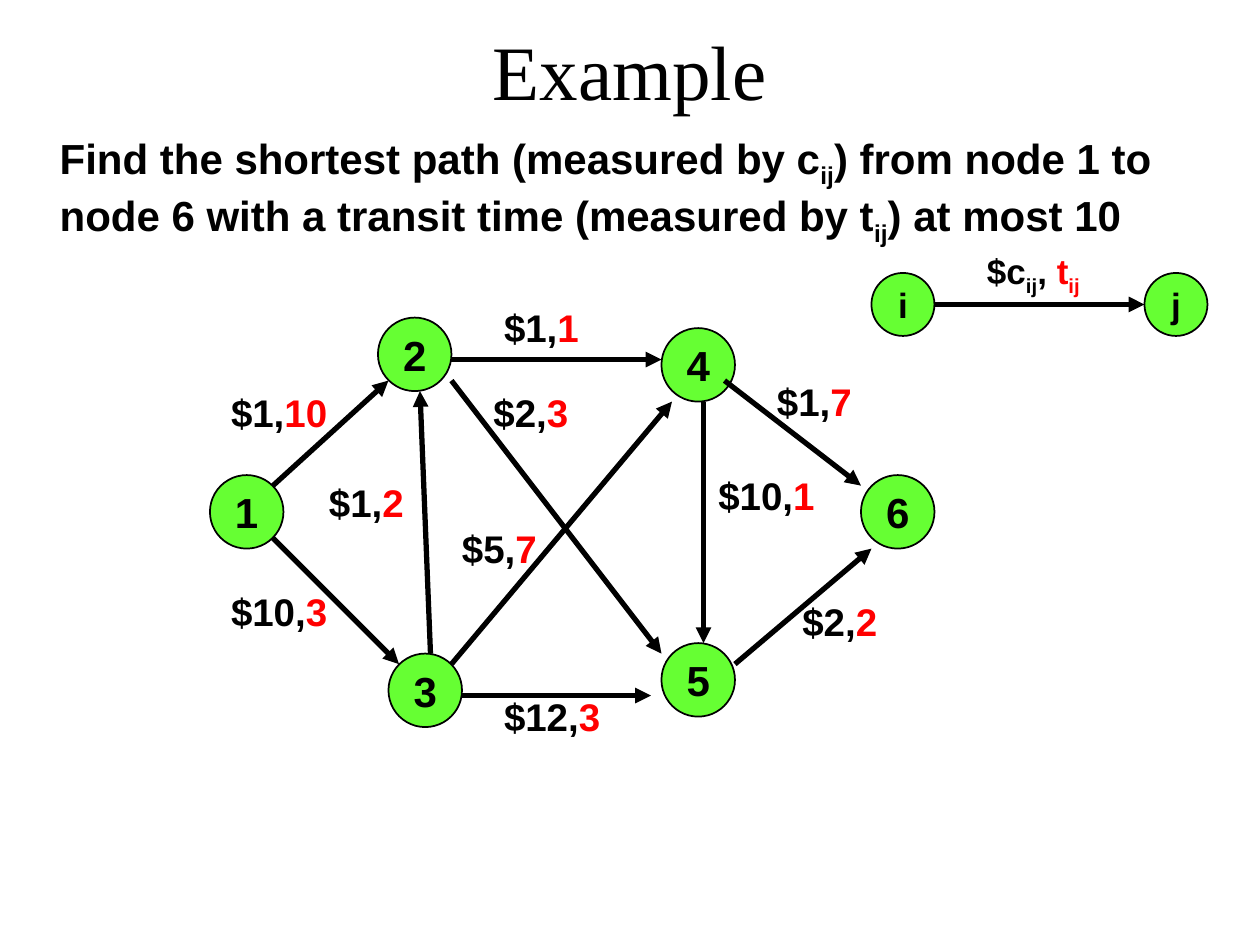
import pptx
import pptx.dml.color
import pptx.enum.shapes
import pptx.enum.text
import pptx.oxml
import pptx.oxml.ns
import pptx.util

Pt = pptx.util.Pt
ALIGN = pptx.enum.text.PP_ALIGN
ANCHOR = pptx.enum.text.MSO_ANCHOR
BLACK, RED, GREEN = "000000", "FF0000", "66FF33"
NODE_SIZE, LEGEND_SIZE = 42, 36

# Node: left, top
NODES = {
    "1": (120, 271.5),
    "2": (216, 181.5),
    "4": (378, 187.5),
    "5": (378, 367.5),
    "3": (222, 373.5),
    "6": (492, 271.5),
}

# Arc: start, end, cost, time, label left, label top
ARCS = [
    ((156, 277.5), (222, 217.5), "$1,", "10", 132, 222),
    ((258, 205.5), (378, 205.5), "$1,", "1", 288, 174),
    ((258, 217.5), (378, 373.5), "$2,", "3", 282, 222),
    ((156, 307.5), (228, 379.5), "$10,", "3", 132, 336),
    ((246, 373.5), (240, 223.5), "$1,", "2", 188, 273.5),
    ((258, 379.5), (384, 229.5), "$5,", "7", 264, 300),
    ((264, 397.5), (372, 397.5), "$12,", "3", 288, 396),
    ((420, 379.5), (498, 313.5), "$2,", "2", 458.5, 342),
    ((414, 217.5), (492, 277.5), "$1,", "7", 444, 216),
    ((402, 229.5), (402, 367.5), "$10,", "1", 410.5, 270),
]


def rgb(color):
    return pptx.dml.color.RGBColor.from_string(color)


def set_font(font, name, size, bold):
    font.name, font.size, font.bold = name, Pt(size), bold
    font.color.rgb = rgb(BLACK)


def add_text(page, left, top, width, height, spans, size, name="Arial",
             bold=True, wrap=False, margins=False):
    """Each span is (text, color, is_subscript)."""
    box = page.shapes.add_textbox(Pt(left), Pt(top), Pt(width), Pt(height))
    frame = box.text_frame
    frame.word_wrap = wrap
    if not margins:
        frame.margin_left = frame.margin_right = 0
        frame.margin_top = frame.margin_bottom = 0
    para = frame.paragraphs[0]
    set_font(para.font, name, size, bold)
    for text, color, is_subscript in spans:
        span = para.add_run()
        span.text = text
        if color != BLACK:
            span.font.color.rgb = rgb(color)
        if is_subscript:
            span.font._element.set("baseline", "-25000")
    return box


def add_node(page, label, left, top, diameter, size):
    node = page.shapes.add_shape(pptx.enum.shapes.MSO_SHAPE.OVAL,
                                 Pt(left), Pt(top), Pt(diameter), Pt(diameter))
    node.shadow.inherit = False
    node.fill.solid()
    node.fill.fore_color.rgb = rgb(GREEN)
    node.line.color.rgb = rgb(BLACK)
    node.line.width = Pt(1)
    frame = node.text_frame
    frame.word_wrap = False
    frame.vertical_anchor = ANCHOR.MIDDLE
    para = frame.paragraphs[0]
    para.text = label
    para.alignment = ALIGN.CENTER
    set_font(para.font, "Arial", size, True)


def add_arrow(page, start, end):
    arrow = page.shapes.add_connector(
        pptx.enum.shapes.MSO_CONNECTOR.STRAIGHT,
        *(Pt(value) for value in (*start, *end)))
    arrow.line.color.rgb = rgb(BLACK)
    arrow.line.width = Pt(3)
    head = pptx.oxml.parse_xml(
        f'<a:tailEnd {pptx.oxml.ns.nsdecls("a")} type="triangle"/>')
    arrow.line._get_or_add_ln().append(head)
    no_effects = pptx.oxml.parse_xml(
        f'<a:effectLst {pptx.oxml.ns.nsdecls("a")}/>')
    arrow._element.spPr.append(no_effects)


def add_heading(page):
    title = add_text(page, 36, -5, 648, 90, [("Example", BLACK, False)], 44,
                     "Times New Roman", bold=False, wrap=True, margins=True)
    title.text_frame.vertical_anchor = ANCHOR.MIDDLE
    title.text_frame.paragraphs[0].alignment = ALIGN.CENTER
    add_text(page, 27, 72, 666, 65.5, [
        ("Find the shortest path (measured by c", BLACK, False),
        ("ij", BLACK, True),
        (") from node 1 to node 6 with a transit time (measured by t",
         BLACK, False),
        ("ij", BLACK, True),
        (") at most 10", BLACK, False),
    ], 24, wrap=True, margins=True)


def add_network(page):
    for start, end, cost, time, left, top in ARCS:
        width = 12.25 * len(cost + time) - 6
        add_text(page, left, top, width, 26.5,
                 [(cost, BLACK, False), (time, RED, False)], 22)
    for label, (left, top) in NODES.items():
        add_node(page, label, left, top, NODE_SIZE, 24)
    for start, end, *_ in ARCS:
        add_arrow(page, start, end)


def add_legend(page):
    add_text(page, 564, 142.5, 55.5, 24.5, [
        ("$c", BLACK, False), ("ij", BLACK, True), (", ", BLACK, False),
        ("t", RED, False), ("ij", RED, True),
    ], 20)
    top, left_i, left_j = 156, 498, 654
    add_node(page, "i", left_i, top, LEGEND_SIZE, 20)
    add_node(page, "j", left_j, top, LEGEND_SIZE, 20)
    middle = top + LEGEND_SIZE / 2
    add_arrow(page, (left_i + LEGEND_SIZE, middle), (left_j, middle))


def main():
    deck = pptx.Presentation()
    deck.slide_width, deck.slide_height = Pt(720), Pt(540)
    page = deck.slides.add_slide(deck.slide_layouts[6])
    add_heading(page)
    add_network(page)
    add_legend(page)
    deck.save("out.pptx")


if __name__ == "__main__":
    main()
